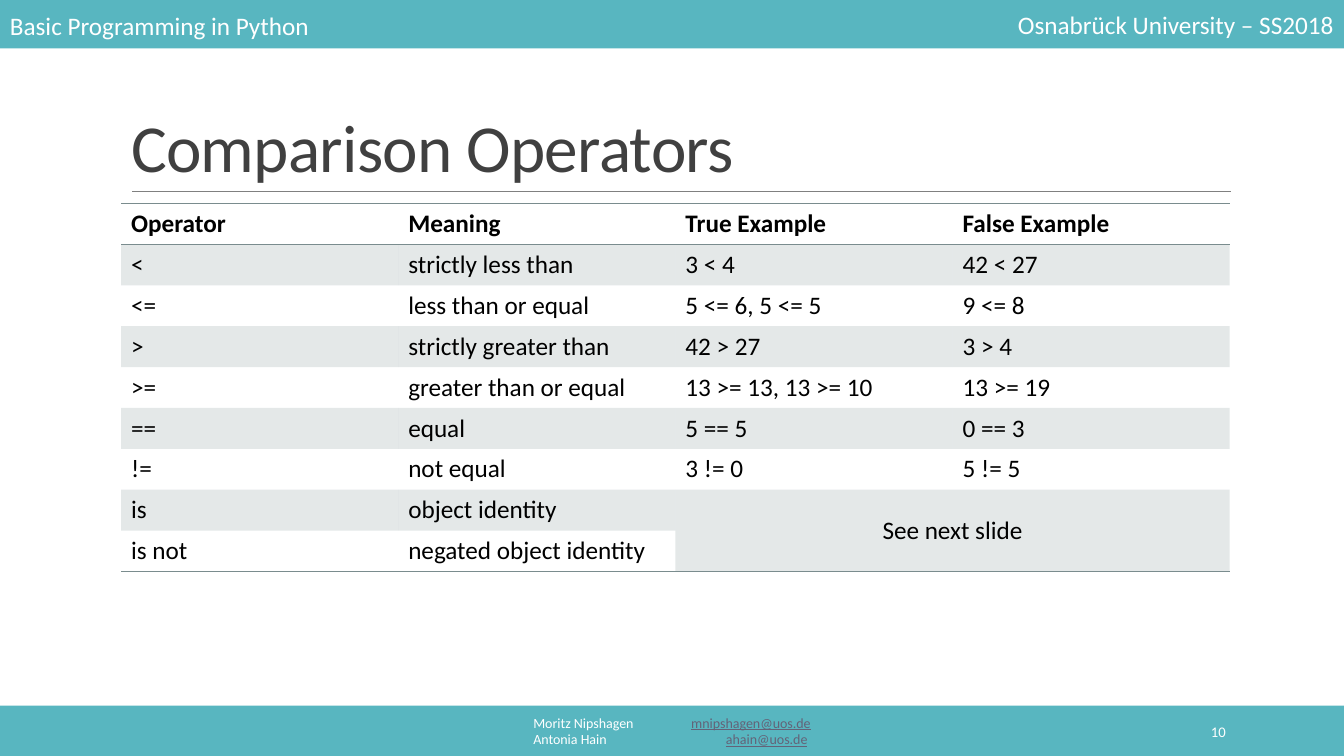
from lxml.etree import SubElement
from pptx import Presentation
from pptx.dml.color import RGBColor
from pptx.enum.shapes import MSO_CONNECTOR as CONN, MSO_SHAPE as SHAPE
from pptx.enum.text import MSO_ANCHOR as ANCHOR, PP_ALIGN as ALIGN
from pptx.oxml import parse_xml
from pptx.oxml.ns import nsdecls, qn
from pptx.util import Cm, Pt

TEAL, SLATE, WHITE, LINK = "58B6C0", "7A8C8E", "FFFFFF", "636378"


def rgb(value):
    return RGBColor.from_string(value)


def add_run(p, text, size, color, **extra):
    """Append a Calibri run; extra holds further font attributes."""
    r = p.add_run()
    r.text = text
    r.font.color.rgb = rgb(color)
    for name, value in {"name": "Calibri", "size": Pt(size), **extra}.items():
        setattr(r.font, name, value)
    return r


prs = Presentation()
prs.slide_width, prs.slide_height = Cm(33.87), Cm(19.05)
s = prs.slides.add_slide(prs.slide_layouts[5])

# Header and footer bars
for top in (-0.05, 17.78):
    bar = s.shapes.add_shape(SHAPE.RECTANGLE, 0, Cm(top), prs.slide_width, Cm(1.27))
    bar.shadow.inherit = False
    bar.fill.solid()
    bar.fill.fore_color.rgb = rgb(TEAL)
    bar.line.fill.background()

# Texts on the bars: left, top, width, size, alignment, lines of (text, colour)
bar_texts = [
    (0, 0.13, 13.39, 18, ALIGN.LEFT, [[("Basic Programming in Python", WHITE)]]),
    (20.47, 0.1, 13.39, 18, ALIGN.RIGHT, [[("Osnabrück University – SS2018", WHITE)]]),
    (10.24, 17.91, 13.39, 10, ALIGN.CENTER, [
        [("Moritz Nipshagen\t", WHITE), ("mnipshagen@uos.de", LINK)],
        [("Antonia Hain\t", WHITE), ("ahain@uos.de", LINK), (" ", WHITE)],
    ]),
    (27.51, 17.93, 3.63, 10.5, ALIGN.RIGHT, [[("10", WHITE)]]),
]
for left, top, width, size, align, lines in bar_texts:
    tf = s.shapes.add_textbox(Cm(left), Cm(top), Cm(width), Cm(1.02)).text_frame
    tf.word_wrap = True
    tf.vertical_anchor = ANCHOR.MIDDLE
    for i, line in enumerate(lines):
        p = tf.add_paragraph() if i else tf.paragraphs[0]
        p.alignment = align
        if len(line) > 1:
            tabs = SubElement(p._p.get_or_add_pPr(), qn("a:tabLst"))
            SubElement(tabs, qn("a:tab"), pos=str(Cm(6.99)), algn="r")
        for text, color in line:
            add_run(p, text, size, color, underline=color == LINK)

# Title and the rule below it
title = s.shapes.title
title.left, title.top, title.width, title.height = Cm(3.05), Cm(2.74), Cm(27.94), Cm(2.08)
tf = title.text_frame
tf.word_wrap = True
tf.vertical_anchor = ANCHOR.BOTTOM
p = tf.paragraphs[0]
p.alignment = ALIGN.LEFT
p.line_spacing = 0.85
r = add_run(p, "Comparison Operators", 48, "404040")
r._r.get_or_add_rPr().set("spc", "-50")

rule = s.shapes.add_connector(CONN.STRAIGHT, Cm(3.33), Cm(4.83), Cm(31.01), Cm(4.83))
rule.line.color.rgb = rgb("808080")
rule.line.width = Pt(0.5)
SubElement(rule._element.spPr, qn("a:effectLst"))

# Operator table
rows = [
    ("Operator", "Meaning", "True Example", "False Example"),
    ("<", "strictly less than", "3 < 4", "42 < 27"),
    ("<=", "less than or equal", "5 <= 6, 5 <= 5", "9 <= 8"),
    (">", "strictly greater than", "42 > 27", "3 > 4"),
    (">=", "greater than or equal", "13 >= 13, 13 >= 10", "13 >= 19"),
    ("==", "equal", "5 == 5", "0 == 3"),
    ("!=", "not equal", "3 != 0", "5 != 5"),
    ("is", "object identity", "See next slide", ""),
    ("is not", "negated object identity", "", ""),
]
last = len(rows) - 1
frame = s.shapes.add_table(len(rows), 4, Cm(3.05), Cm(5.13), Cm(27.94), Cm(9.27))
table = frame.table
table.first_row = table.horz_banding = False
# "No Style, No Grid"
table._tbl.tblPr.find(qn("a:tableStyleId")).text = "{2D5ABB26-0587-4C30-8999-92F81FD0307C}"
table.cell(last - 1, 2).merge(table.cell(last, 3))

for i, row in enumerate(rows):
    for j, text in enumerate(row):
        cell = table.cell(i, j)
        p = cell.text_frame.paragraphs[0]
        if text:
            add_run(p, text, 18, "000000", bold=i == 0)
        if cell.is_merge_origin:
            p.alignment = ALIGN.CENTER
            cell.vertical_anchor = ANCHOR.MIDDLE

        if i % 2:
            cell.fill.solid()
            cell.fill.fore_color.rgb = rgb(SLATE)
            tcPr = cell._tc.get_or_add_tcPr()
            SubElement(tcPr.find(".//" + qn("a:srgbClr")), qn("a:alpha"), val="20000")
        else:
            cell.fill.background()

        edges = ["lnT"] if i == 0 else []
        if i in (0, last) or cell.is_merge_origin:
            edges.append("lnB")
        for k, edge in enumerate(edges):
            cell._tc.get_or_add_tcPr().insert(k, parse_xml(
                f'<a:{edge} {nsdecls("a")} w="12700"><a:solidFill>'
                f'<a:srgbClr val="{SLATE}"/></a:solidFill></a:{edge}>'))

prs.save("out.pptx")
